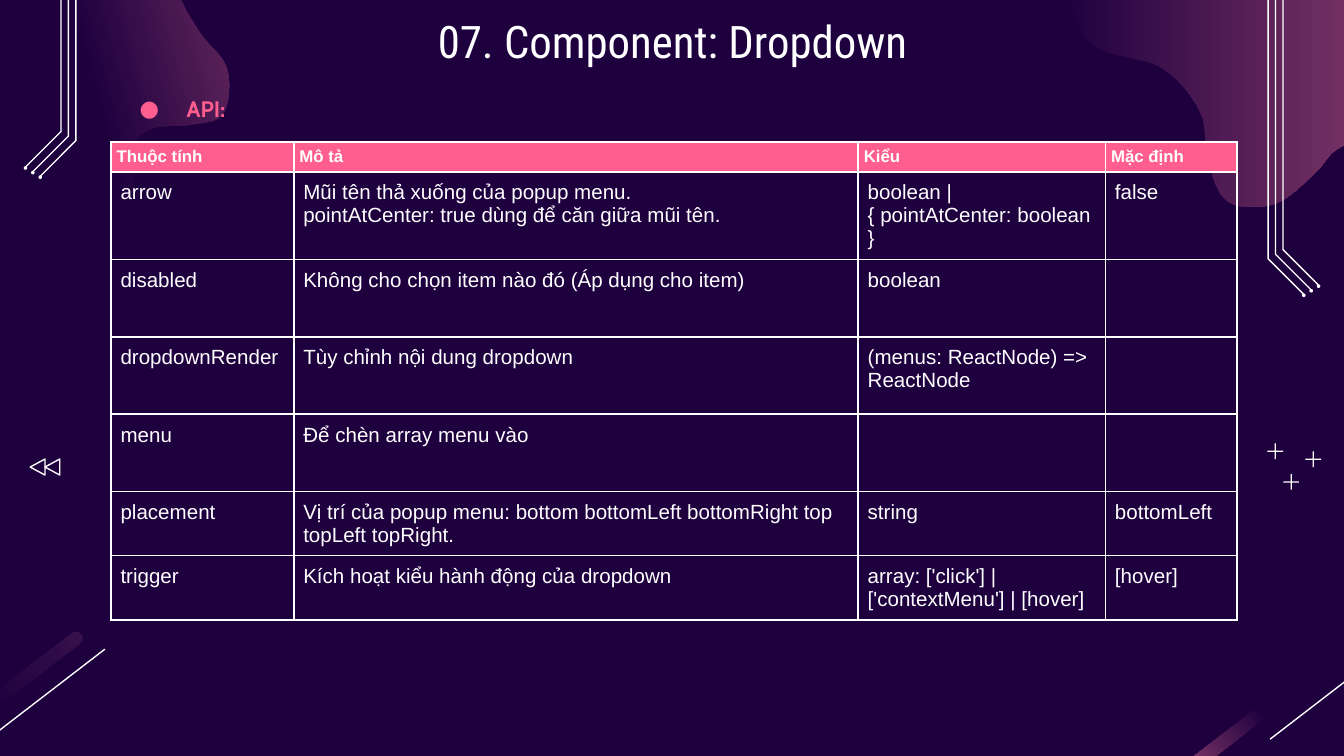
import math
from collections import namedtuple

from lxml import etree
from pptx import Presentation
from pptx import util as u
from pptx.dml.color import RGBColor
from pptx.enum import shapes, text
from pptx.oxml import ns

NIGHT = RGBColor(0x1E, 0x00, 0x3F)
PLUM = RGBColor(0xA6, 0x4D, 0x79)
DUSK = RGBColor(0x36, 0x10, 0x4A)
PINK = RGBColor(0xFF, 0x5E, 0x8E)
WHITE = RGBColor(0xFF, 0xFF, 0xFF)

Box = namedtuple("Box", "left top width height")
HAIRLINE = 0.72
STEPS_PER_ANCHOR = 8

LEFT_BLOB_ANCHORS = [
    (175, 247), (205, 229), (212, 204), (210, 190), (222, 179), (243, 177), (260, 171),
    (262, 147), (247, 127), (236, 105), (243, 88), (277, 81), (305, 79), (326, 48),
    (308, 14), (261, 1), (191, 42), (107, 51), (48, 66), (1, 126), (28, 168),
    (77, 181), (107, 186), (131, 206), (138, 230),
]
RIGHT_BLOB_ANCHORS = [
    (242, 133), (228, 81), (194, 50), (144, 45), (101, 24), (78, 4), (45, 3),
    (22, 13), (3, 50), (0, 78), (14, 127), (54, 142), (75, 166), (79, 192),
    (90, 214), (115, 215), (136, 199), (148, 186), (165, 182), (189, 205), (236, 169),
]

HEADINGS = ["Thuộc tính", "Mô tả", "Kiểu", "Mặc định"]
PROPERTIES = [
    ["arrow", "Mũi tên thả xuống của popup menu.\npointAtCenter: true dùng để căn giữa mũi tên.",
     "boolean | { pointAtCenter: boolean }", "false"],
    ["disabled", "Không cho chọn item nào đó (Áp dụng cho item)", "boolean", ""],
    ["dropdownRender", "Tùy chỉnh nội dung dropdown", "(menus: ReactNode) => ReactNode", ""],
    ["menu", "Để chèn array menu vào", "", ""],
    ["placement", "Vị trí của popup menu: bottom bottomLeft bottomRight top topLeft topRight.",
     "string", "bottomLeft"],
    ["trigger", "Kích hoạt kiểu hành động của dropdown",
     "array: ['click'] | ['contextMenu'] | [hover]", "[hover]"],
]
COLUMN_WIDTHS = [97.92, 302.4, 132.48, 70.56]
ROW_HEIGHTS = [16, 47] + [41.4] * 3 + [34.4] * 2


def paint(shape, color):
    shape.shadow.inherit = False
    shape.line.fill.background()
    shape.fill.solid()
    shape.fill.fore_color.rgb = color


def paint_gradient(shape, stops, angle):
    paint(shape, NIGHT)
    solid = shape._element.spPr.find(ns.qn("a:solidFill"))
    gradient = etree.Element(ns.qn("a:gradFill"), rotWithShape="1")
    stop_list = etree.SubElement(gradient, ns.qn("a:gsLst"))
    for position, color in stops:
        stop = etree.SubElement(stop_list, ns.qn("a:gs"), pos=str(position * 1000))
        etree.SubElement(stop, ns.qn("a:srgbClr"), val=str(color))
    etree.SubElement(gradient, ns.qn("a:lin"), ang=str(angle * 60000), scaled="0")
    solid.getparent().replace(solid, gradient)


def add_outline(page, points):
    fine = [(x * 100, y * 100) for x, y in points]
    builder = page.shapes.build_freeform(*fine[0], scale=u.Pt(0.01))
    builder.add_line_segments(fine[1:], close=True)
    return builder.convert_to_shape()


def add_preset(page, kind, box):
    return page.shapes.add_shape(kind, *map(u.Pt, box))


def centred_box(x, y, width, height):
    return Box(x - width / 2, y - height / 2, width, height)


def spline(before, start, end, after, t):
    return (start + t * (end - before) / 2
            + t ** 2 * (2 * before - 5 * start + 4 * end - after) / 2
            + t ** 3 * (3 * start - before - 3 * end + after) / 2)


def smooth_loop(anchors):
    count = len(anchors)
    for index in range(count):
        neighbours = [anchors[(index + offset) % count] for offset in (-1, 0, 1, 2)]
        xs, ys = zip(*neighbours)
        for step in range(STEPS_PER_ANCHOR):
            t = step / STEPS_PER_ANCHOR
            yield spline(*xs, t), spline(*ys, t)


def add_blob(page, box, anchors, stops, angle):
    points = [(box.left + x, box.top + y) for x, y in smooth_loop(anchors)]
    paint_gradient(add_outline(page, points), stops, angle)


def add_streak(page, box, stops, angle):
    right, bottom = box.left + box.width, box.top + box.height
    centre_x, centre_y = box.left + box.width / 2 - 34.9, box.top + box.height / 2 + 9.1
    bar = centred_box(centre_x, centre_y, 135, 7.2)
    streak = add_preset(page, shapes.MSO_SHAPE.ROUNDED_RECTANGLE, bar)
    streak.adjustments[0] = 0.5
    streak.rotation = -math.degrees(math.atan2(box.height, box.width))
    paint_gradient(streak, stops, angle)
    line = page.shapes.add_connector(
        shapes.MSO_CONNECTOR.STRAIGHT, *map(u.Pt, (right, box.top, box.left, bottom)))
    line.line.color.rgb = WHITE
    line.line.width = u.Pt(0.75)
    etree.SubElement(line._element.spPr, ns.qn("a:effectLst"))


def add_rails(page, box, direction):
    rail_gap, bend_gap, slant, dot_size = 3.96, 2.45, 19.44, 1.9
    inner_edge = box.left if direction > 0 else box.left + box.width
    for rail in range(3):
        x = inner_edge + direction * rail * rail_gap
        edge = x + direction * HAIRLINE
        bend = box.top + box.height - slant - rail_gap * 0.5 - rail * 0 - (rail * bend_gap)
        end_x, end_y = x + direction * slant, bend + slant
        paint(add_outline(page, [
            (edge, box.top), (x, box.top), (x, bend), (end_x, end_y),
            (end_x + direction * HAIRLINE * 0.7, end_y - HAIRLINE * 0.7),
            (edge, bend - HAIRLINE * 0.4)]), WHITE)
        dot = centred_box(end_x, end_y, dot_size, dot_size)
        paint(add_preset(page, shapes.MSO_SHAPE.OVAL, dot), WHITE)


def add_crosses(page, box):
    arm = 8.4
    right, bottom = box.left + box.width - arm / 2, box.top + box.height - arm / 2
    left, top = box.left + arm / 2, box.top + arm / 2
    for x, y in [(left, top), (right, top + 4.3), ((left + right) / 2 - 1.7, bottom)]:
        for width, height in [(arm, HAIRLINE), (HAIRLINE, arm)]:
            bar = centred_box(x, y, width, height)
            paint(add_preset(page, shapes.MSO_SHAPE.RECTANGLE, bar), WHITE)


def add_rewind(page, box):
    for index in range(2):
        place = Box(box.left + index * box.height, box.top, box.width / 2, box.height)
        arrow = add_preset(page, shapes.MSO_SHAPE.ISOSCELES_TRIANGLE, place)
        arrow.rotation = 270
        arrow.shadow.inherit = False
        arrow.fill.background()
        arrow.line.color.rgb = WHITE
        arrow.line.width = u.Pt(0.75)


def add_span(para, words, font, size, color, bold=False):
    span = para.add_run()
    span.text = words
    span.font.name = font
    span.font.size = u.Pt(size)
    span.font.color.rgb = color
    span.font.bold = bold


def add_first_para(page, box):
    frame = page.shapes.add_textbox(*map(u.Pt, box)).text_frame
    frame.word_wrap = True
    frame.vertical_anchor = text.MSO_ANCHOR.TOP
    frame.margin_left = frame.margin_right = frame.margin_top = frame.margin_bottom = u.Pt(7.2)
    return frame.paragraphs[0]


def add_title(page, box):
    para = add_first_para(page, box)
    para.alignment = text.PP_ALIGN.CENTER
    add_span(para, "07. Component: Dropdown", "Roboto Condensed", 24, WHITE)


def add_subtitle(page, box):
    para = add_first_para(page, box)
    para.line_spacing = 1.5
    settings = para._p.get_or_add_pPr()
    settings.set("marL", str(u.Pt(36)))
    settings.set("indent", str(u.Pt(-25.2)))
    bullet_color = etree.SubElement(settings, ns.qn("a:buClr"))
    etree.SubElement(bullet_color, ns.qn("a:srgbClr"), val=str(PINK))
    etree.SubElement(settings, ns.qn("a:buFont"), typeface="Cabin")
    etree.SubElement(settings, ns.qn("a:buChar"), char="●")
    add_span(para, "API:", "Cabin", 12, PINK, True)


def add_borders(cell):
    settings = cell._tc.get_or_add_tcPr()
    for index, side in enumerate(("lnL", "lnR", "lnT", "lnB")):
        line = etree.Element(ns.qn("a:" + side), w=str(u.Pt(1)))
        solid = etree.SubElement(line, ns.qn("a:solidFill"))
        etree.SubElement(solid, ns.qn("a:srgbClr"), val=str(WHITE))
        settings.insert(index, line)


def fill_cell(cell, words, heading):
    margin, slack, size = (3, 1.2, 9) if heading else (5.1, 2.9, 11)
    cell.margin_left = cell.margin_right = cell.margin_top = u.Pt(margin)
    cell.margin_bottom = u.Pt(margin - slack)
    if heading:
        cell.fill.solid()
        cell.fill.fore_color.rgb = PINK
    else:
        cell.fill.background()
    add_borders(cell)
    for index, line in enumerate(words.splitlines()):
        frame = cell.text_frame
        para = frame.add_paragraph() if index else frame.paragraphs[0]
        add_span(para, line, "Arial", size, WHITE, heading)


def add_property_table(page, box):
    rows = [HEADINGS] + PROPERTIES
    table = page.shapes.add_table(len(rows), len(HEADINGS), *map(u.Pt, box)).table
    table.first_row = table.horz_banding = False
    for column, width in zip(table.columns, COLUMN_WIDTHS):
        column.width = u.Pt(width)
    for row, height, entries in zip(table.rows, ROW_HEIGHTS, rows):
        row.height = u.Pt(height)
        for cell, words in zip(row.cells, entries):
            fill_cell(cell, words, entries is HEADINGS)


def main():
    deck = Presentation()
    deck.slide_width, deck.slide_height = u.Pt(720), u.Pt(405)
    page = deck.slides.add_slide(deck.slide_layouts[6])
    page.background.fill.solid()
    page.background.fill.fore_color.rgb = NIGHT
    add_blob(page, Box(-140.4, -110.2, 328, 247), LEFT_BLOB_ANCHORS, [(0, NIGHT), (54, NIGHT), (100, PLUM)], 345)
    add_blob(page, Box(568.1, -105.8, 242, 219), RIGHT_BLOB_ANCHORS, [(0, NIGHT), (100, PLUM)], 0)
    for left, glow, angle in [(-6.5, DUSK, 0), (680.4, PLUM, 180)]:
        add_streak(page, Box(left, 347.8, 62.7, 48.2), [(0, NIGHT), (50, NIGHT), (100, glow)], angle)
    for left, top, direction in [(679, -85.7, 1), (12.2, -149, -1)]:
        add_rails(page, Box(left, top, 28.8, 245.9), direction)
    add_crosses(page, Box(679, 237.6, 28.8, 24.8))
    add_rewind(page, Box(15.84, 246.24, 17.2, 7.92))
    add_subtitle(page, Box(56.88, 36.72, 584.64, 33.84))
    add_title(page, Box(56.88, 0, 606.96, 45.36))
    add_property_table(page, Box(59.5, 76.1, sum(COLUMN_WIDTHS), sum(ROW_HEIGHTS)))
    deck.save("out.pptx")


if __name__ == "__main__":
    main()
